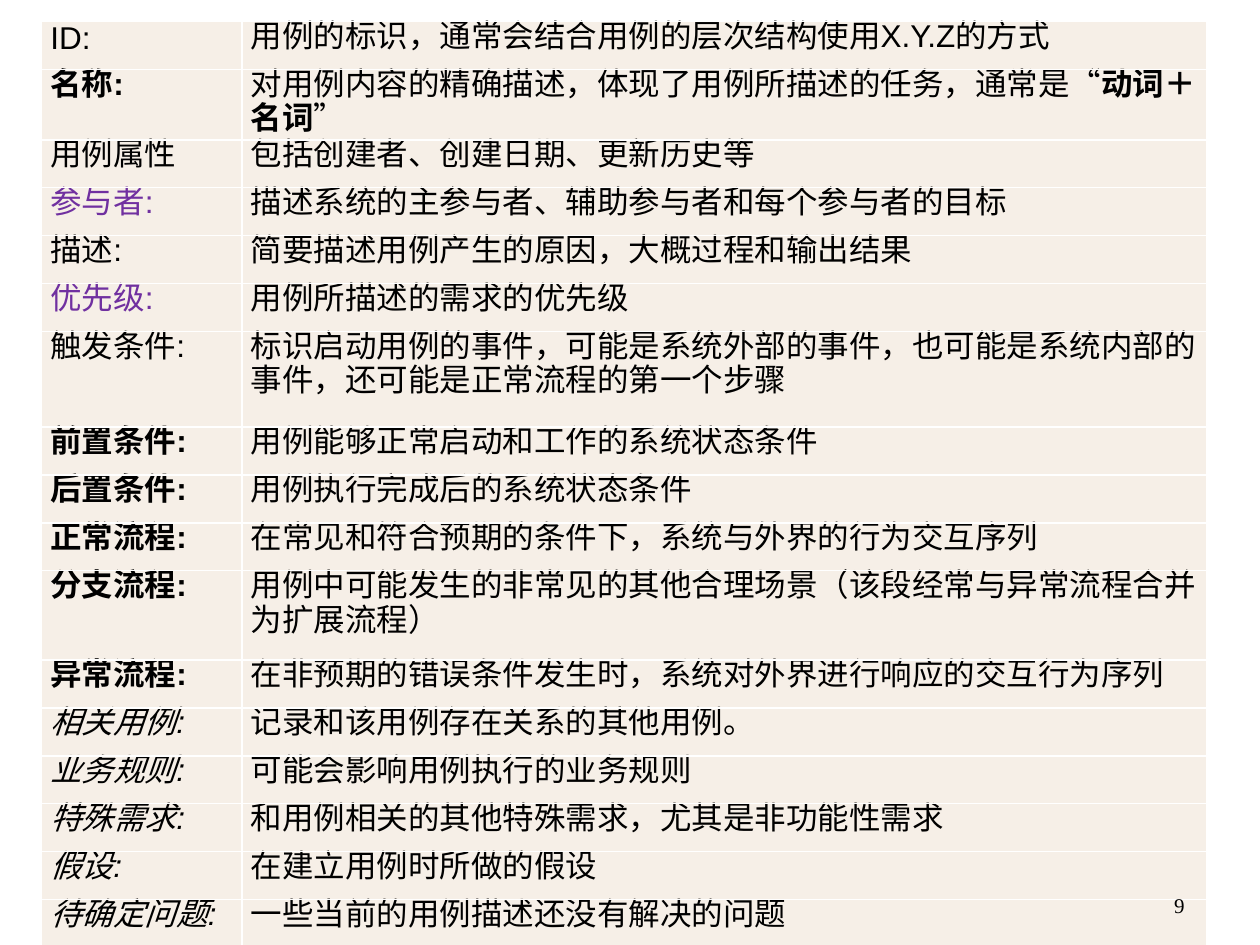
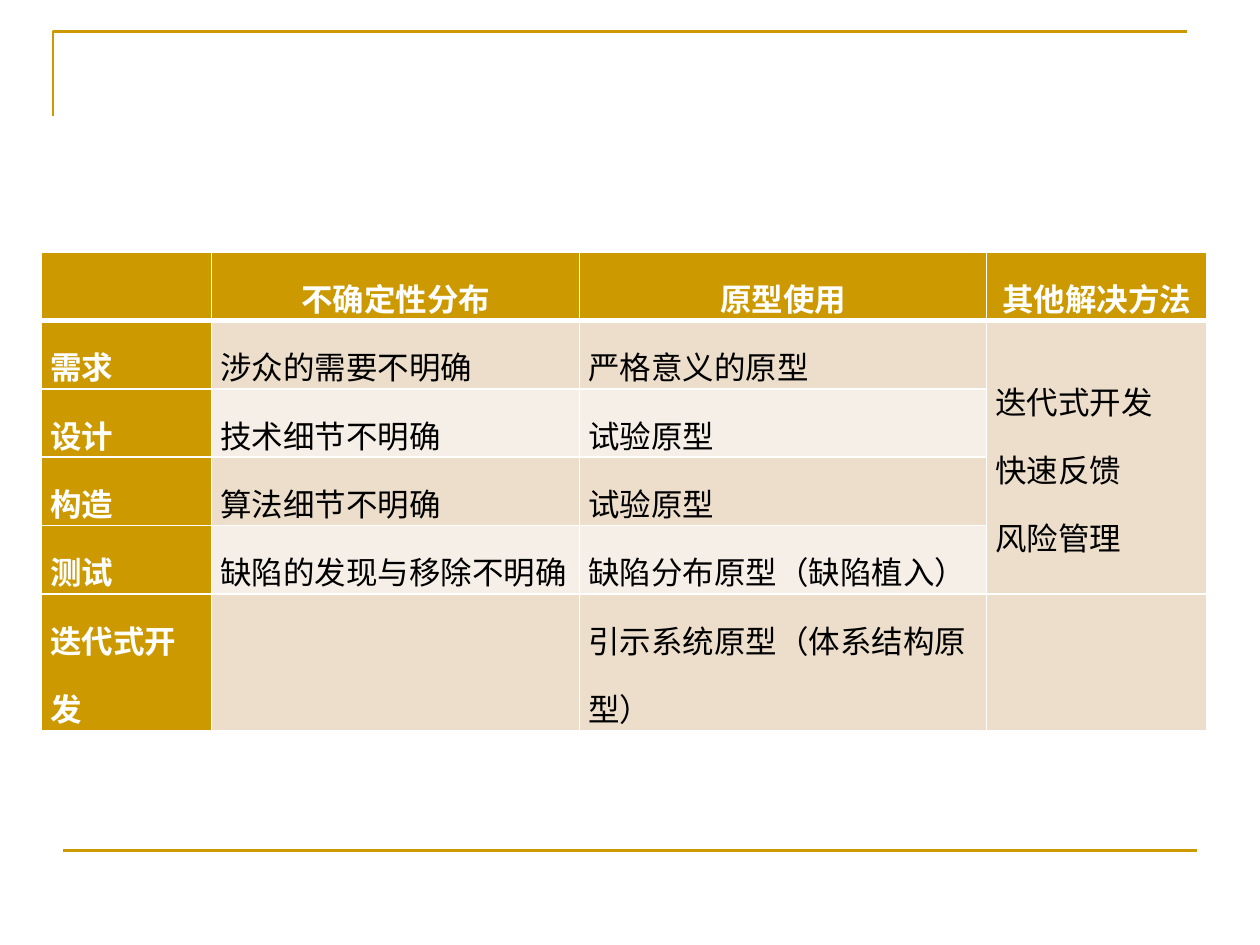
from lxml.etree import SubElement
from pptx import Presentation
from pptx.dml.color import RGBColor
from pptx.enum.lang import MSO_LANGUAGE_ID as Language
from pptx.enum.shapes import MSO_CONNECTOR as Connector
from pptx.enum.text import MSO_ANCHOR as Anchor, PP_ALIGN as Align
from pptx.oxml.ns import qn
from pptx.util import Inches, Pt

GOLD = RGBColor(0xCC, 0x99, 0x00)
SAND = RGBColor(0xEC, 0xDE, 0xCB)
CREAM = RGBColor(0xF6, 0xEF, 0xE7)
PURPLE = RGBColor(0x70, 0x30, 0xA0)
BLACK = RGBColor(0x00, 0x00, 0x00)
WHITE = RGBColor(0xFF, 0xFF, 0xFF)

BODY_FONT = "Arial"
NUMBER_FONT = "Times New Roman"
THIN, THICK = 1, 3

PLAIN = {}
BOLD = {"bold": True}
ITALIC = {"italic": True}
ACCENT = {"color": PURPLE}

# label, label style, description (a list holds (text, bold) spans), row height
USE_CASE_FIELDS = [
    ("ID:", PLAIN, "用例的标识，通常会结合用例的层次结构使用X.Y.Z的方式", 0.38),
    ("名称:", BOLD,
     [("对用例内容的精确描述，体现了用例所描述的任务，通常是“", False),
      ("动词＋名词", True), ("”", False)], 0.56),
    ("用例属性", PLAIN, "包括创建者、创建日期、更新历史等", 0.38),
    ("参与者:", ACCENT, "描述系统的主参与者、辅助参与者和每个参与者的目标", 0.38),
    ("描述:", PLAIN, "简要描述用例产生的原因，大概过程和输出结果", 0.38),
    ("优先级:", ACCENT, "用例所描述的需求的优先级", 0.38),
    ("触发条件:", PLAIN,
     "标识启动用例的事件，可能是系统外部的事件，也可能是系统内部的事件，"
     "还可能是正常流程的第一个步骤", 0.76),
    ("前置条件:", BOLD, "用例能够正常启动和工作的系统状态条件", 0.38),
    ("后置条件:", BOLD, "用例执行完成后的系统状态条件", 0.38),
    ("正常流程:", BOLD, "在常见和符合预期的条件下，系统与外界的行为交互序列", 0.38),
    ("分支流程:", BOLD,
     "用例中可能发生的非常见的其他合理场景（该段经常与异常流程合并为扩展流程）", 0.71),
    ("异常流程:", BOLD,
     "在非预期的错误条件发生时，系统对外界进行响应的交互行为序列", 0.38),
    ("相关用例:", ITALIC, "记录和该用例存在关系的其他用例。", 0.38),
    ("业务规则:", ITALIC, "可能会影响用例执行的业务规则", 0.38),
    ("特殊需求:", ITALIC, "和用例相关的其他特殊需求，尤其是非功能性需求", 0.38),
    ("假设:", ITALIC, "在建立用例时所做的假设", 0.38),
    ("待确定问题:", ITALIC, "一些当前的用例描述还没有解决的问题", 0.38),
]

PROTOTYPE_ROWS = [
    ["", "不确定性分布", "原型使用", "其他解决方法"],
    ["需求", "涉众的需要不明确", "严格意义的原型", "迭代式开发\n快速反馈\n风险管理"],
    ["设计", "技术细节不明确", "试验原型", ""],
    ["构造", "算法细节不明确", "试验原型", ""],
    ["测试", "缺陷的发现与移除不明确", "缺陷分布原型（缺陷植入）", ""],
    ["迭代式开发", "", "引示系统原型（体系结构原型）", ""],
]


def add_frame(page):
    """Draw the gold corner and the gold line at the foot of the page."""
    left, top = Inches(0.42), Inches(0.25)
    builder = page.shapes.build_freeform(left, top + Inches(0.67))
    builder.add_line_segments(
        [(left, top), (left + Inches(9), top)], close=False)
    corner = builder.convert_to_shape()
    corner.fill.background()
    corner.shadow.inherit = False

    foot = page.shapes.add_connector(
        Connector.STRAIGHT, Inches(0.5), Inches(6.75), Inches(9.5), Inches(6.75))
    SubElement(foot.element.spPr, qn("a:effectLst"))
    for shape in (corner, foot):
        shape.line.color.rgb = GOLD
        shape.line.width = Pt(1.5)


def add_grid(page, left, top, widths, heights):
    """Add a table without banding and return it."""
    frame = page.shapes.add_table(
        len(heights), len(widths), Inches(left), Inches(top),
        Inches(sum(widths)), Inches(sum(heights)))
    table = frame.table
    table.first_row = table.horz_banding = False
    for column, width in zip(table.columns, widths):
        column.width = Inches(width)
    for row, height in zip(table.rows, heights):
        row.height = Inches(height)
    return table


def style_cell(cell, fill, top=THIN, bottom=THIN):
    cell.margin_left = cell.margin_right = Inches(0.07)
    cell.margin_top = cell.margin_bottom = 0
    properties = cell._tc.get_or_add_tcPr()
    for side, width in (("L", THIN), ("R", THIN), ("T", top), ("B", bottom)):
        border = SubElement(properties, qn(f"a:ln{side}"), w=str(Pt(width)))
        paint = SubElement(border, qn("a:solidFill"))
        SubElement(paint, qn("a:srgbClr"), val=str(WHITE))
    cell.fill.solid()
    cell.fill.fore_color.rgb = fill


def write_cell(cell, text, spacing, color=BLACK, bold=False, italic=False,
               align=Align.LEFT):
    """Write a string, one paragraph a line, or a list of (text, bold) spans."""
    if isinstance(text, str):
        cell.text_frame.text = text
    else:
        for words, strong in text:
            span = cell.text_frame.paragraphs[0].add_run()
            span.text = words
            span.font.bold = strong
    for para in cell.text_frame.paragraphs:
        para.line_spacing = spacing
        para.alignment = align
        font = para.font
        font.name, font.size = BODY_FONT, Pt(18)
        font.bold, font.italic = bold, italic
        font.color.rgb = color
        font.language_id = Language.SIMPLIFIED_CHINESE


def add_page_number(page, number):
    box = page.shapes.add_textbox(
        Inches(7.17), Inches(6.83), Inches(2.33), Inches(0.5))
    box.text_frame.word_wrap = True
    box.text_frame.vertical_anchor = Anchor.BOTTOM
    para = box.text_frame.paragraphs[0]
    para.text = str(number)
    para.alignment = Align.RIGHT
    para.font.name, para.font.size = NUMBER_FONT, Pt(12)
    para.font.color.rgb = BLACK


def build_use_case_page(page):
    add_frame(page)
    heights = [field[-1] for field in USE_CASE_FIELDS]
    table = add_grid(page, 0.33, 0.17, [1.59, 7.66], heights)
    for row, (label, style, description, _) in zip(table.rows, USE_CASE_FIELDS):
        label_cell, description_cell = row.cells
        for cell in row.cells:
            style_cell(cell, CREAM)
        write_cell(label_cell, label, Pt(19.9), **style)
        write_cell(description_cell, description, Pt(19.9))
    add_page_number(page, 9)


def build_prototype_page(page):
    add_frame(page)
    table = add_grid(page, 0.33, 2, [1.35, 2.92, 3.23, 1.75], [0.45] * 5 + [0.9])
    for r, texts in enumerate(PROTOTYPE_ROWS):
        for c, text in enumerate(texts):
            cell = table.cell(r, c)
            heading = r == 0 or c == 0
            band = SAND if r % 2 else CREAM
            style_cell(cell, GOLD if heading else band,
                       top=THICK if r == 1 else THIN,
                       bottom=THICK if r == 0 else THIN)
            if text:
                write_cell(cell, text, 1.5, WHITE if heading else BLACK, heading,
                           align=Align.LEFT if r else Align.CENTER)
    solutions = table.cell(1, 3)
    solutions.merge(table.cell(4, 3))
    solutions.vertical_anchor = Anchor.MIDDLE


def main():
    deck = Presentation()
    deck.slide_width, deck.slide_height = Inches(10), Inches(7.5)
    blank = deck.slide_layouts[6]
    for build in (build_use_case_page, build_prototype_page):
        build(deck.slides.add_slide(blank))
    deck.save("out.pptx")


if __name__ == "__main__":
    main()
